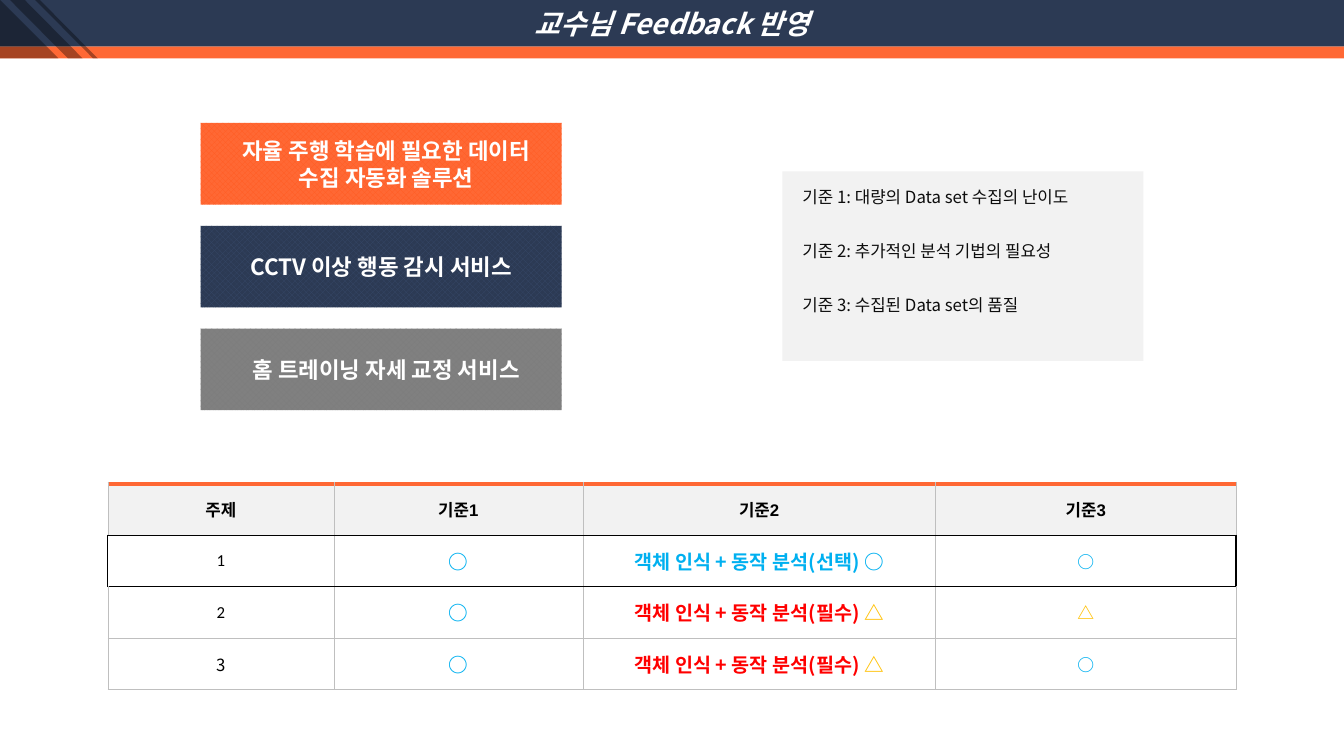
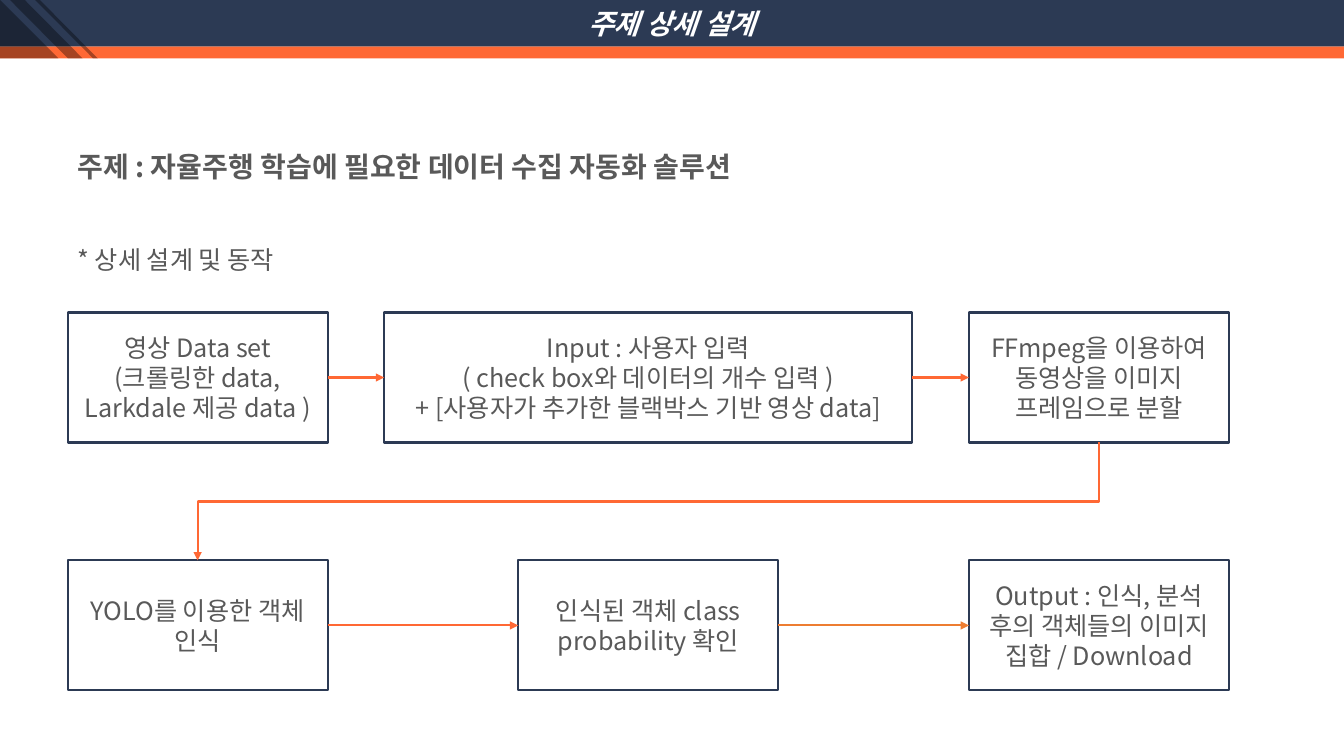
import pptx
import pptx.dml.color
import pptx.enum.dml
import pptx.enum.shapes
import pptx.enum.text
import pptx.oxml
import pptx.oxml.ns
import pptx.util
from lxml import etree

Inches, Pt = pptx.util.Inches, pptx.util.Pt
SHAPE = pptx.enum.shapes.MSO_SHAPE
CONNECTOR = pptx.enum.shapes.MSO_CONNECTOR
ALIGN = pptx.enum.text.PP_ALIGN
ANCHOR = pptx.enum.text.MSO_ANCHOR
qn = pptx.oxml.ns.qn

NAVY, ORANGE, AMBER = "2C3A54", "FF6834", "ED7D31"
WHITE, BLACK, INK, GREY, PALE = "FFFFFF", "000000", "0D0D0D", "595959", "F2F2F2"
CYAN, RED, YELLOW, RULE = "00B0F0", "FF0000", "FFC000", "BFBFBF"
KOREAN = "Noto Sans CJK KR"
SLIDE_W, SLIDE_H = 13.33, 7.5
BAND_H, STRIPE_H = 0.46, 0.12
HEAD_H = BAND_H + STRIPE_H

TITLE = {"size": 20, "color": WHITE, "bold": True, "italic": True}
TOPIC = {"size": 16, "color": WHITE, "bold": True}
CRITERION = {"size": 12, "color": INK}
STEP = {"size": 18, "color": GREY}
HEADING = {"size": 20, "color": GREY, "bold": True}
TABLE_HEAD = {"size": 12, "color": BLACK, "bold": True, "name": "Arial"}
NUMBER = {"size": 12, "color": BLACK, "name": "Calibri"}
LAST_NUMBER = {"size": 12, "color": BLACK}

TOPICS = [
    ("자율 주행 학습에 필요한 데이터 수집 자동화 솔루션", "FF5B21", ORANGE, 0.1),
    ("CCTV 이상 행동 감시 서비스", "384A6A", NAVY, 0),
    ("홈 트레이닝 자세 교정 서비스", "7D7D7D", "808080", 0.1),
]
CRITERIA = [
    "기준 1: 대량의 Data set 수집의 난이도",
    "기준 2: 추가적인 분석 기법의 필요성",
    "기준 3: 수집된 Data set의 품질",
]


def mark(text, color, size=14):
    """Return one bold run for a rating in the table."""
    return text, {"size": size, "color": color, "bold": True}


NEEDED = [mark("객체 인식 + 동작 분석(필수) ", RED), mark("△", YELLOW)]
COLUMNS = [2.24, 2.47, 3.5, 2.98]
ROW_H = 0.51
ROWS = [
    [[(text, TABLE_HEAD)] for text in ("주제", "기준1", "기준2", "기준3")],
    [[("1", NUMBER)], [mark("○", CYAN)],
     [mark("객체 인식 + 동작 분석(선택) ○", CYAN)], [mark("○", CYAN, 12)]],
    [[("2", NUMBER)], [mark("○", CYAN)], NEEDED, [mark("△", YELLOW, 12)]],
    [[("3", LAST_NUMBER)], [mark("○", CYAN)], NEEDED, [mark("○", CYAN, 12)]],
]

HEADINGS = [
    (1.43, "주제 : 자율주행 학습에 필요한 데이터 수집 자동화 솔루션", HEADING),
    (2.37, "* 상세 설계 및 동작", STEP),
]
LEFT, MIDDLE, RIGHT = 0.67, 5.14, 9.61
UPPER, LOWER = 3.1, 5.56
STEP_W, STEP_H, INPUT_W = 2.58, 1.29, 5.24
STEPS = {
    "dataset": (LEFT, UPPER, STEP_W,
                ["영상 Data set", "(크롤링한 data,", "Larkdale 제공 data )"]),
    "input": (3.81, UPPER, INPUT_W,
              ["Input : 사용자 입력", "( check box와 데이터의 개수 입력 )",
               "+ [사용자가 추가한 블랙박스 기반 영상 data]"]),
    "frames": (RIGHT, UPPER, STEP_W, ["FFmpeg을 이용하여 동영상을 이미지 프레임으로 분할"]),
    "detect": (LEFT, LOWER, STEP_W, ["YOLO를 이용한 객체 인식"]),
    "check": (MIDDLE, LOWER, STEP_W, ["인식된 객체 class probability 확인"]),
    "output": (RIGHT, LOWER, STEP_W, ["Output : 인식, 분석 후의 객체들의 이미지 집합 / Download"]),
}
ARROWS = [
    ("dataset", "input", ORANGE),
    ("input", "frames", ORANGE),
    ("detect", "check", ORANGE),
    ("check", "output", AMBER),
]


def rgb(color):
    """Turn a hex string into a colour."""
    return pptx.dml.color.RGBColor.from_string(color)


def add_run(p, text, style):
    """Add a formatted run to a paragraph."""
    r = p.add_run()
    r.text = text
    formats = {"name": KOREAN, "bold": False, **style}
    formats["size"] = Pt(formats["size"])
    r.font.color.rgb = rgb(formats.pop("color"))
    for key, value in formats.items():
        setattr(r.font, key, value)
    etree.SubElement(r.font._element, qn("a:ea"), typeface=KOREAN)


def write(tf, lines, style, indent=0, **formats):
    """Write lines as paragraphs with one style."""
    tf.word_wrap = True
    for i, line in enumerate(lines):
        p = tf.paragraphs[0] if i == 0 else tf.add_paragraph()
        if indent:
            p._p.get_or_add_pPr().set("marL", str(Inches(indent)))
        for key, value in formats.items():
            setattr(p, key, value)
        add_run(p, line, style)


def add_box(slide, kind, x, y, w, h, fill=None, line=None, alpha=None):
    """Add a preset shape without shadow."""
    s = slide.shapes.add_shape(kind, Inches(x), Inches(y), Inches(w), Inches(h))
    s.shadow.inherit = False
    if fill:
        s.fill.solid()
        s.fill.fore_color.rgb = rgb(fill)
    else:
        s.fill.background()
    if line:
        s.line.color.rgb = rgb(line)
        s.line.width = Pt(1.5)
    else:
        s.line.fill.background()
    if alpha:
        color = s.element.spPr.find(".//" + qn("a:srgbClr"))
        etree.SubElement(color, qn("a:alpha"), val=str(alpha * 1000))
    s.text_frame.vertical_anchor = ANCHOR.MIDDLE
    return s


def add_arrow(slide, kind, ends, color):
    """Add a connector with a triangle at its end."""
    c = slide.shapes.add_connector(kind, *[Inches(v) for v in ends])
    c.line.color.rgb = rgb(color)
    c.line.width = Pt(1.5)
    etree.SubElement(c.line._get_or_add_ln(), qn("a:tailEnd"), type="triangle")
    etree.SubElement(c.element.spPr, qn("a:effectLst"))
    return c


def add_titled_slide(prs, title):
    """Add a blank slide with the shared header."""
    slide = prs.slides.add_slide(prs.slide_layouts[6])
    add_box(slide, SHAPE.RECTANGLE, 0, BAND_H, SLIDE_W, STRIPE_H, ORANGE)
    band = add_box(slide, SHAPE.RECTANGLE, 0, 0, SLIDE_W, BAND_H, NAVY)
    write(band.text_frame, [title], TITLE, alignment=ALIGN.CENTER)
    add_box(slide, SHAPE.RIGHT_TRIANGLE, 0, 0, HEAD_H, HEAD_H, BLACK, alpha=35)
    for x, w in ((0.1, 0.72), (0.35, 0.62)):
        s = add_box(slide, SHAPE.PARALLELOGRAM, x, 0, w, HEAD_H, BLACK, alpha=35)
        s.adjustments[0] = 0.99
        s.element.spPr.xfrm.set("flipH", "1")
    return slide


def set_borders(cell, borders):
    """Set the left, right, top and bottom borders of a cell."""
    tcPr = cell._tc.get_or_add_tcPr()
    for i, (side, (color, width)) in enumerate(zip("LRTB", borders)):
        ln = etree.Element(qn("a:ln" + side), w=str(Pt(width)))
        fill = etree.SubElement(ln, qn("a:solidFill"))
        etree.SubElement(fill, qn("a:srgbClr"), val=color)
        tcPr.insert(i, ln)


def add_ratings(slide):
    """Add the table that rates each topic."""
    table = slide.shapes.add_table(
        len(ROWS), len(COLUMNS), Inches(1.07), Inches(4.8),
        Inches(sum(COLUMNS)), Inches(ROW_H * len(ROWS))).table
    table.first_row = table.horz_banding = False
    for column, width in zip(table.columns, COLUMNS):
        column.width = Inches(width)
    thin, frame, accent = (RULE, 0.25), (BLACK, 1), (ORANGE, 3)
    tops = [accent, frame, frame, thin]
    bottoms = tops[1:] + [thin]
    for i, row in enumerate(ROWS):
        table.rows[i].height = Inches(ROW_H)
        for j, runs in enumerate(row):
            cell = table.cell(i, j)
            cell.vertical_anchor = ANCHOR.MIDDLE
            cell.fill.solid()
            cell.fill.fore_color.rgb = rgb(WHITE if i else PALE)
            p = cell.text_frame.paragraphs[0]
            p.alignment = ALIGN.CENTER
            for text, style in runs:
                add_run(p, text, style)
            left = frame if i == 1 and j == 0 else thin
            right = frame if i == 1 and j == len(row) - 1 else thin
            set_borders(cell, (left, right, tops[i], bottoms[i]))


def build_feedback(prs):
    """Build the slide with topics, criteria and ratings."""
    slide = add_titled_slide(prs, "교수님 Feedback 반영")
    s = add_box(slide, SHAPE.RECTANGLE, 7.76, 1.7, 3.58, 1.88, PALE)
    s.text_frame.vertical_anchor = ANCHOR.TOP
    write(s.text_frame, CRITERIA, CRITERION, 0.1, alignment=ALIGN.LEFT,
          line_spacing=1.5, space_after=Pt(17))
    for i, (text, fore, back, indent) in enumerate(TOPICS):
        s = add_box(slide, SHAPE.RECTANGLE, 1.99, 1.22 + 1.02 * i, 3.58, 0.81)
        s.fill.patterned()
        s.fill.pattern = pptx.enum.dml.MSO_PATTERN.SOLID_DIAMOND
        s.fill.fore_color.rgb = rgb(fore)
        s.fill.back_color.rgb = rgb(back)
        write(s.text_frame, [text], TOPIC, indent, alignment=ALIGN.CENTER)
    add_ratings(slide)


def build_design(prs):
    """Build the slide with the process flow."""
    slide = add_titled_slide(prs, "주제 상세 설계")
    for y, text, style in HEADINGS:
        s = slide.shapes.add_textbox(Inches(LEFT), Inches(y), Inches(9), Inches(0.44))
        write(s.text_frame, [text], style)
    boxes = {}
    for key, (x, y, w, lines) in STEPS.items():
        s = add_box(slide, SHAPE.RECTANGLE, x, y, w, STEP_H, line=NAVY)
        write(s.text_frame, lines, STEP, alignment=ALIGN.CENTER)
        boxes[key] = s
    for start, end, color in ARROWS:
        c = add_arrow(slide, CONNECTOR.STRAIGHT, (0, 0, 1, 1), color)
        c.begin_connect(boxes[start], 3)
        c.end_connect(boxes[end], 1)
    drop, run = LOWER - UPPER - STEP_H, RIGHT - LEFT
    cx = (LEFT + RIGHT + STEP_W) / 2
    cy = (UPPER + STEP_H + LOWER) / 2
    ends = (cx - drop / 2, cy - run / 2, cx + drop / 2, cy + run / 2)
    c = add_arrow(slide, CONNECTOR.ELBOW, ends, ORANGE)
    c.element.spPr.xfrm.set("rot", str(90 * 60000))


def main():
    """Build and save the presentation."""
    prs = pptx.Presentation()
    prs.slide_width, prs.slide_height = Inches(SLIDE_W), Inches(SLIDE_H)
    build_feedback(prs)
    build_design(prs)
    prs.save("out.pptx")


if __name__ == "__main__":
    main()
